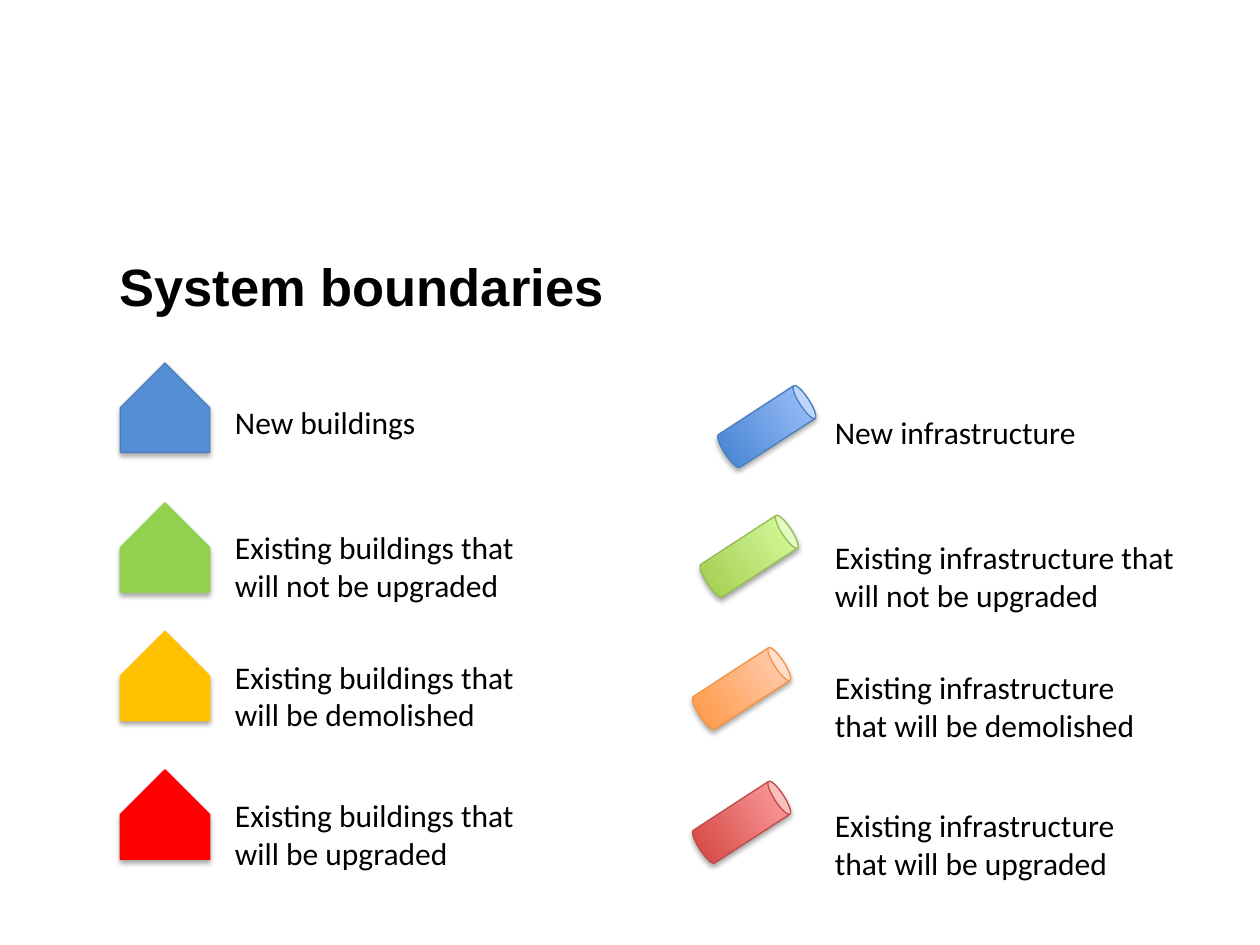
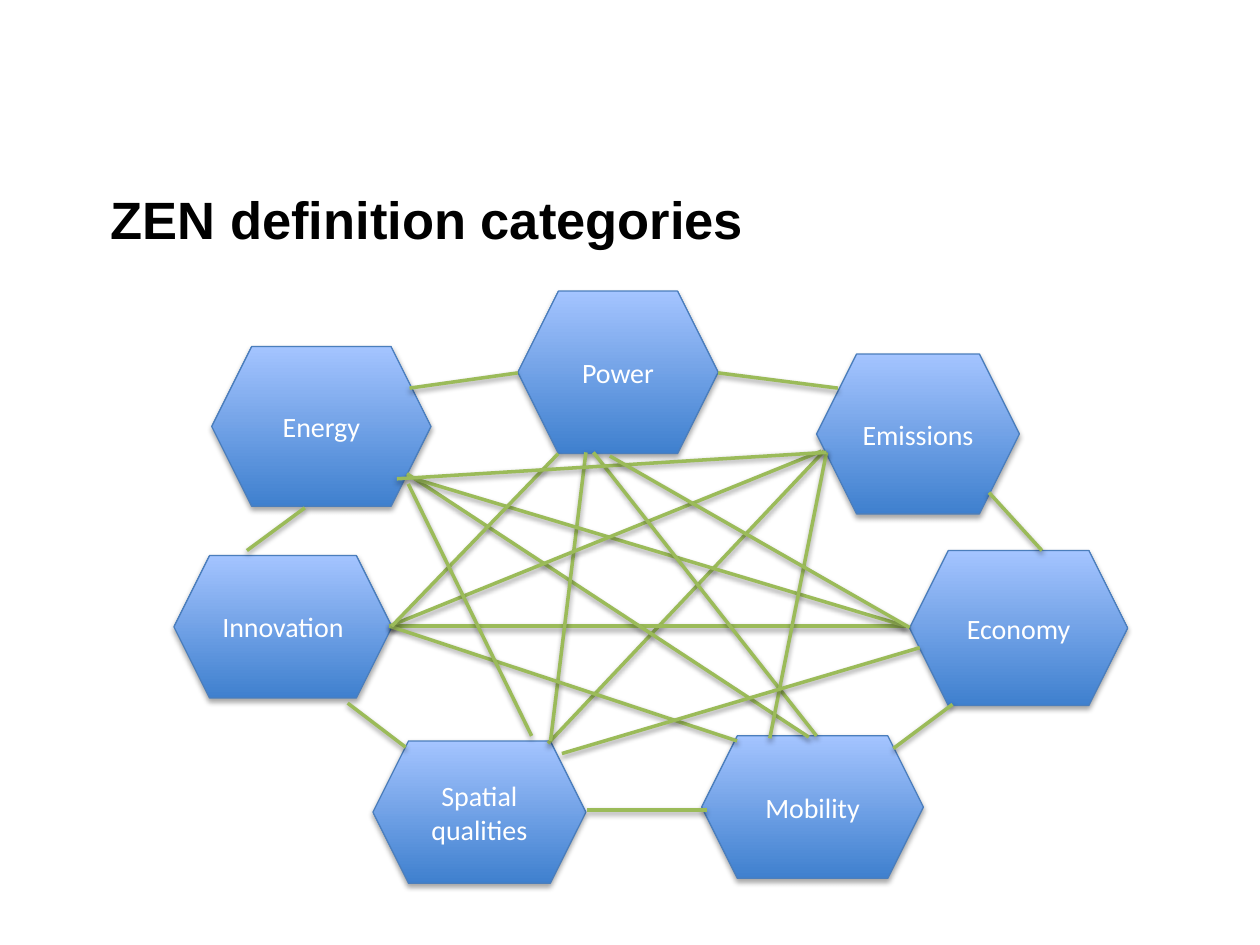
import pptx
import pptx.dml.color
import pptx.enum.shapes
import pptx.enum.text
import pptx.oxml
import pptx.oxml.ns
import pptx.util

Pt = pptx.util.Pt
SHAPE = pptx.enum.shapes.MSO_SHAPE
ANCHOR = pptx.enum.text.MSO_ANCHOR
ALIGN = pptx.enum.text.PP_ALIGN

BLACK, WHITE, LINK_GREEN = "000000", "FFFFFF", "9BBB59"
BLUE_GRADIENT, BLUE_EDGE = ("3F80CE", "A4C4FF"), "4B7EBC"

TITLE = {"name": "Arial", "size": Pt(30), "bold": True}
LEGEND = {"name": "Calibri", "size": Pt(18)}
CATEGORY = {"name": "Calibri", "size": Pt(16)}

HOUSE_LEFT, HOUSE_SIZE = 68.75, 51.1
CAN_WIDTH, CAN_HEIGHT, CAN_TILT = 22.3, 56.9, 57
BUILDING_LABEL_LEFT, INFRA_LABEL_LEFT, INFRA_LABEL_DROP = 127.2, 470, 5.8

# status, house top, house fill, house edge, label top, label height, label width
BUILDINGS = [
    ("New buildings", 207.4, "558ED5", BLUE_EDGE, 226.8, 28.8, 130.3),
    ("Existing buildings that will not be upgraded",
     287.3, "92D050", "92D050", 298.1, 51.1, 198.7),
    ("Existing buildings that will be demolished",
     360.7, "FFC000", "FFC000", 372.2, 51.1, 198.7),
    ("Existing buildings that will be upgraded",
     439.9, "FF0000", "FF0000", 451.4, 51.1, 198.7),
]

# status, can left, can top, can gradient, can edge, label width
INFRASTRUCTURE = [
    ("New infrastructure", 427, 215.3, BLUE_GRADIENT, BLUE_EDGE, 198.7),
    ("Existing infrastructure that will not be upgraded",
     416.9, 289.4, ("A0CA4A", "DAFFA5"), "98B955", 230.4),
    ("Existing infrastructure that will be demolished",
     412.6, 365, ("FF953E", "FFD2BD"), "F69240", 198.7),
    ("Existing infrastructure that will be upgraded",
     412.6, 441.4, ("D1403C", "FFA6A5"), "BF4C48", 198.7),
]

# category, left, top, width, height
CATEGORIES = [
    ("Power", 295.9, 166.3, 114.5, 92.9),
    ("Energy", 121, 198, 125.3, 91.4),
    ("Emissions", 466.6, 202.3, 115.9, 91.4),
    ("Economy", 519.8, 314.6, 124.6, 88.6),
    ("Mobility", 401, 420.5, 126.7, 81.4),
    ("Spatial qualities", 213.1, 423.4, 121.7, 81.4),
    ("Innovation", 99.4, 317.5, 124.6, 81.4),
]

# start x, start y, end x, end y
NEIGHBOUR_LINKS = [
    (410.4, 213.1, 478.8, 221.8),
    (565.2, 281.5, 595.4, 314.6),
    (544.3, 402.5, 510.5, 427.7),
    (403.9, 463, 335.5, 463),
    (231.8, 427, 198.7, 401.8),
    (174.2, 290.2, 141.1, 314.6),
    (234, 221.8, 295.9, 213.1),
]
CROSS_LINKS = [
    (470.9, 257.8, 313.2, 424.8),
    (517.7, 357.8, 222.5, 357.8),
    (232.6, 270.7, 462.2, 421.2),
    (334.8, 258.5, 314.6, 423.4),
    (236.9, 273.6, 517.7, 357.8),
    (469.4, 257.8, 222.5, 357.8),
    (421.2, 423.4, 222.5, 357.8),
    (339.1, 258.5, 466.6, 420.5),
    (319, 259.2, 223.9, 357.8),
    (472.3, 258.5, 439.9, 421.9),
    (472.3, 258.5, 226.8, 273.6),
    (519.8, 358.6, 348.5, 260.6),
    (233.3, 276.5, 303.8, 420.5),
    (525.6, 370.1, 321.1, 430.6),
]


def rgb(hex_color):
    return pptx.dml.color.RGBColor.from_string(hex_color)


def add_shadow(element, distance, opacity):
    """Give a shape or connector element a soft shadow falling straight down."""
    properties = element.spPr
    for effects in properties.findall(pptx.oxml.ns.qn("a:effectLst")):
        properties.remove(effects)
    properties.append(pptx.oxml.parse_xml(
        f'<a:effectLst {pptx.oxml.ns.nsdecls("a")}>'
        f'<a:outerShdw blurRad="{Pt(3.1)}" dist="{Pt(distance)}" dir="5400000" rotWithShape="0">'
        f'<a:srgbClr val="{BLACK}"><a:alpha val="{opacity * 1000}"/></a:srgbClr>'
        '</a:outerShdw></a:effectLst>'))


def write(frame, text, style, color):
    paragraph = frame.paragraphs[0]
    run = paragraph.add_run()
    run.text = text
    for attribute, value in style.items():
        setattr(run.font, attribute, value)
    run.font.color.rgb = rgb(color)
    return paragraph


def add_text(slide, text, box, style):
    frame = slide.shapes.add_textbox(*map(Pt, box)).text_frame
    frame.word_wrap = True
    write(frame, text, style, BLACK)
    return frame


def add_title(slide, text, box):
    frame = add_text(slide, text, box, TITLE)
    for side in ("left", "top", "right", "bottom"):
        setattr(frame, f"margin_{side}", 0)


def add_symbol(slide, kind, box, fill, edge, rotation=0):
    """Add a shadowed shape; fill is one colour or a (bottom, top) gradient."""
    symbol = slide.shapes.add_shape(kind, *map(Pt, box))
    symbol.rotation = rotation
    symbol.shadow.inherit = False
    if isinstance(fill, str):
        symbol.fill.solid()
        symbol.fill.fore_color.rgb = rgb(fill)
    else:
        symbol.fill.gradient()
        symbol.fill.gradient_angle = 90
        for stop, color in zip(symbol.fill.gradient_stops, fill):
            stop.color.rgb = rgb(color)
    symbol.line.color.rgb = rgb(edge)
    symbol.line.width = Pt(0.75)
    add_shadow(symbol.element, 1.8, 35)
    return symbol


def add_category(slide, name, *box):
    hexagon = add_symbol(slide, SHAPE.HEXAGON, box, BLUE_GRADIENT, BLUE_EDGE)
    frame = hexagon.text_frame
    frame.word_wrap = True
    frame.vertical_anchor = ANCHOR.MIDDLE
    write(frame, name, CATEGORY, WHITE).alignment = ALIGN.CENTER


def add_link(slide, *ends):
    link = slide.shapes.add_connector(
        pptx.enum.shapes.MSO_CONNECTOR.STRAIGHT, *map(Pt, ends))
    link.line.color.rgb = rgb(LINK_GREEN)
    link.line.width = Pt(2)
    add_shadow(link.element, 1.6, 38)


def build_boundaries(slide):
    add_title(slide, "System boundaries", (68.4, 145.4, 578.2, 73.4))
    for building, infra in zip(BUILDINGS, INFRASTRUCTURE):
        status, top, fill, edge, label_top, label_height, label_width = building
        add_symbol(slide, SHAPE.PENTAGON, (HOUSE_LEFT, top, HOUSE_SIZE, HOUSE_SIZE),
                   fill, edge, 270)
        add_text(slide, status,
                 (BUILDING_LABEL_LEFT, label_top, label_width, label_height), LEGEND)

        status, left, top, gradient, edge, label_width = infra
        add_text(slide, status, (INFRA_LABEL_LEFT, label_top + INFRA_LABEL_DROP,
                                 label_width, label_height), LEGEND)
        add_symbol(slide, SHAPE.CAN, (left, top, CAN_WIDTH, CAN_HEIGHT),
                   gradient, edge, CAN_TILT)


def build_categories(slide):
    add_title(slide, "ZEN definition categories", (63.4, 106.6, 578.2, 39.6))
    for category in CATEGORIES:
        add_category(slide, *category)
    for link in NEIGHBOUR_LINKS + CROSS_LINKS:
        add_link(slide, *link)


def main():
    deck = pptx.Presentation()
    deck.slide_width, deck.slide_height = Pt(720), Pt(540)
    blank = deck.slide_layouts[6]
    for build in (build_boundaries, build_categories):
        build(deck.slides.add_slide(blank))
    deck.save("out.pptx")


if __name__ == "__main__":
    main()
